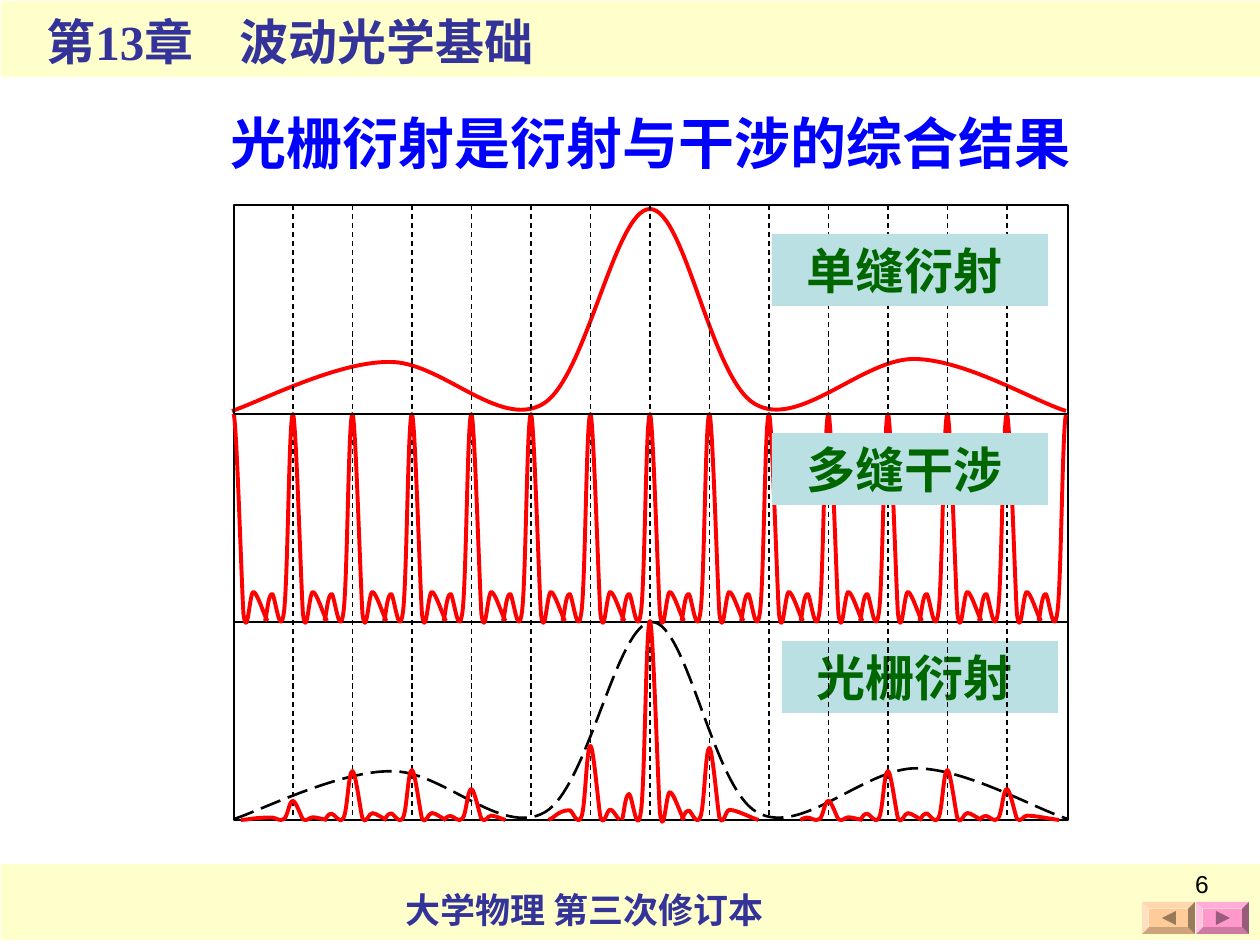
import pptx
import pptx.util
import pptx.dml.color
import pptx.enum.dml
import pptx.enum.shapes
import pptx.enum.text
import pptx.oxml.ns
from lxml import etree

SCALE = 914400 / 126  # EMU in one px
DASH = pptx.enum.dml.MSO_LINE
KIND = pptx.enum.shapes.MSO_SHAPE
ALIGN = pptx.enum.text.PP_ALIGN


class Theme:
    band, label = "FFFFCC", "BBE0E3"
    navy, blue, green = "333399", "0000FF", "006600"
    red, black = "FF0000", "000000"
    peach, peach_dark = "FFCC99", "997A5C"
    pink, pink_dark = "FF99CC", "995C7A"
    serif, sans = "Times New Roman", "Arial"
    title, head, foot, page = 32, 28, 20, 14


# Diffraction panels: 14 equal cells, counted from the middle
LEFT, RIGHT, MID, CELL = 234, 1068, 650, 59.5
TOP, SPLIT, LOW, BASE = 205, 414, 622, 820

# Bezier points relative to the peak, x to the right and y down
FRINGE = [(-28, 207), (-26, 202), (-25, 181), (-21, 180), (-18, 179),
          (-13, 228), (-9, 198), (-5, 169), (-4, 0), (0, 0), (3, 1),
          (8, 170), (10, 200), (14, 229), (16, 178), (20, 178),
          (24, 179), (30, 200), (34, 207)]
HUMP = [(-418, 202), (-393, 194), (-314, 153), (-262, 153), (-210, 151),
        (-151, 221), (-107, 195), (-64, 170), (-35, 0), (0, 0), (35, 0),
        (61, 170), (105, 195), (149, 221), (213, 149), (265, 150),
        (316, 151), (384, 192), (416, 202)]
CREST = 9  # index of the peak in both lists

# Grating peaks: cell, top, left reach, right reach
PEAKS = [(0, 621, -28, 34), (1, 748, -28, 49), (-1, 746, -42, 29),
         (3, 801, -28, 34), (4, 771, -28, 34), (5, 770, -28, 34),
         (6, 789, -28, 52), (-6, 801, -52, 34), (-5, 771, -28, 34),
         (-4, 770, -28, 34), (-3, 789, -28, 34)]


def px(val):
    return pptx.util.Emu(round(val * SCALE))


def rgb(code):
    return pptx.dml.color.RGBColor.from_string(code)


def tag(name):
    return pptx.oxml.ns.qn(name)


def ink(line, color, width, dash=None):
    line.color.rgb = rgb(color)
    line.width = pptx.util.Pt(width)
    if dash:
        line.dash_style = dash


def block(slide, box, fill=None, kind=KIND.RECTANGLE):
    shape = slide.shapes.add_shape(kind, *map(px, box))
    shape.shadow.inherit = False
    shape.line.fill.background()
    if fill:
        shape.fill.solid()
        shape.fill.fore_color.rgb = rgb(fill)
    else:
        shape.fill.background()
    return shape


def write(shape, text, size, color, font=Theme.serif, bold=True,
          align=ALIGN.LEFT, tab=None):
    frame = shape.text_frame
    frame.word_wrap = True
    para = frame.paragraphs[0]
    para.text = text
    para.alignment = align
    if tab:
        stops = etree.SubElement(para._p.get_or_add_pPr(), tag("a:tabLst"))
        etree.SubElement(stops, tag("a:tab"), pos=str(px(tab)), algn="l")
    para.font.name = font
    para.font.size = pptx.util.Pt(size)
    para.font.bold = bold
    para.font.color.rgb = rgb(color)


def note(slide, box, *args, **opts):
    write(slide.shapes.add_textbox(*map(px, box)), *args, **opts)


def label(slide, left, top, text):
    shape = block(slide, (left, top, 276, 72), Theme.label)
    shape.text_frame.margin_right = px(23)
    write(shape, text, Theme.head, Theme.green, align=ALIGN.CENTER)


def rule(slide, x1, y1, x2, y2, width, dash=None):
    line = slide.shapes.add_connector(
        pptx.enum.shapes.MSO_CONNECTOR.STRAIGHT, *map(px, (x1, y1, x2, y2)))
    ink(line.line, Theme.black, width, dash)
    etree.SubElement(line._element.spPr, tag("a:effectLst"))


def outline(slide, points, close=False):
    spots = [(px(x), px(y)) for x, y in points]
    pen = slide.shapes.build_freeform(*spots[0], scale=1.0)
    pen.add_line_segments(spots[1:], close=close)
    shape = pen.convert_to_shape()
    shape.shadow.inherit = False
    return shape


def bend(shape):
    """Turn each three straight segments into one cubic Bezier piece."""
    lines = list(shape._element.iter(tag("a:lnTo")))
    for i in range(0, len(lines), 3):
        piece = etree.SubElement(lines[i].getparent(), tag("a:cubicBezTo"))
        for line in lines[i:i + 3]:
            piece.append(line[0])
            line.getparent().remove(line)


def curve(slide, knots, mid, top, height, color, width, dash=None):
    ratio = height / max(knots[0][1], knots[-1][1])
    shape = outline(slide, [(mid + x, top + y * ratio) for x, y in knots])
    bend(shape)
    shape.fill.background()
    ink(shape.line, color, width, dash)


def reach(left, right):
    """The fringe with its outer tails stretched to the given ends."""
    def move(x):
        if x < -21:
            return -21 + (x + 21) * (left + 21) / -7
        if x > 20:
            return 20 + (x - 20) * (right - 20) / 14
        return x
    return [(move(x), y) for x, y in FRINGE]


def button(slide, left, fill, dark, way):
    shape = block(slide, (left, 902, 53, 32), fill, KIND.BEVEL)
    shape.adjustments[0] = 0.21
    mid = left + 27
    mark = outline(slide, [(mid + 7 * way, 918), (mid - 7 * way, 911),
                           (mid - 7 * way, 925)], close=True)
    mark.fill.solid()
    mark.fill.fore_color.rgb = rgb(dark)
    mark.line.fill.background()


def panels(slide):
    # Single slit
    curve(slide, HUMP, MID, 209, 202, Theme.red, 2.25)
    frame = block(slide, (LEFT, TOP, RIGHT - LEFT, BASE - TOP))
    ink(frame.line, Theme.black, 1.5)
    rule(slide, LEFT, LOW, RIGHT, LOW, 1)
    # Order lines and many-slit fringes, halved at both edges
    for k in range(-6, 7):
        x = MID + k * CELL
        rule(slide, x, TOP, x, 818, 0.75, DASH.DASH)
    halves = {-7: FRINGE[CREST:], 7: FRINGE[:CREST + 1]}
    for k in range(-7, 8):
        curve(slide, halves.get(k, FRINGE), MID + k * CELL, SPLIT, 207,
              Theme.red, 2.25)
    rule(slide, LEFT, SPLIT, RIGHT, SPLIT, 1)
    # Grating: envelope and peaks
    curve(slide, HUMP, MID + 2, LOW, 197, Theme.black, 1.5, DASH.LONG_DASH)
    for k, top, left, right in PEAKS:
        curve(slide, reach(left, right), MID + k * CELL, top, BASE - top,
              Theme.red, 2.25)


def main():
    deck = pptx.Presentation()
    deck.slide_width, deck.slide_height = px(1260), px(945)
    slide = deck.slides.add_slide(deck.slide_layouts[6])

    # Bands, chapter, footer and buttons
    for top in (864, 1):
        block(slide, (1, top, 1259, 76), Theme.band)
    note(slide, (393, 882, 393, 55), "大学物理 第三次修订本",
         Theme.foot, Theme.navy)
    note(slide, (34, 5, 562, 72), "第13章\t波动光学基础",
         Theme.head, Theme.navy, tab=193)
    button(slide, 1196, Theme.pink, Theme.pink_dark, 1)
    button(slide, 1142, Theme.peach, Theme.peach_dark, -1)

    # Title, panels and their labels
    label(slide, 782, 641, "光栅衍射")
    note(slide, (218, 102, 942, 81), "光栅衍射是衍射与干涉的综合结果",
         Theme.title, Theme.blue)
    panels(slide)
    label(slide, 772, 433, "多缝干涉")
    label(slide, 772, 234, "单缝衍射")

    # Page number
    note(slide, (927, 863, 294, 66), "6", Theme.page, Theme.black,
         font=Theme.sans, bold=False, align=ALIGN.RIGHT)
    deck.save("out.pptx")


if __name__ == "__main__":
    main()
